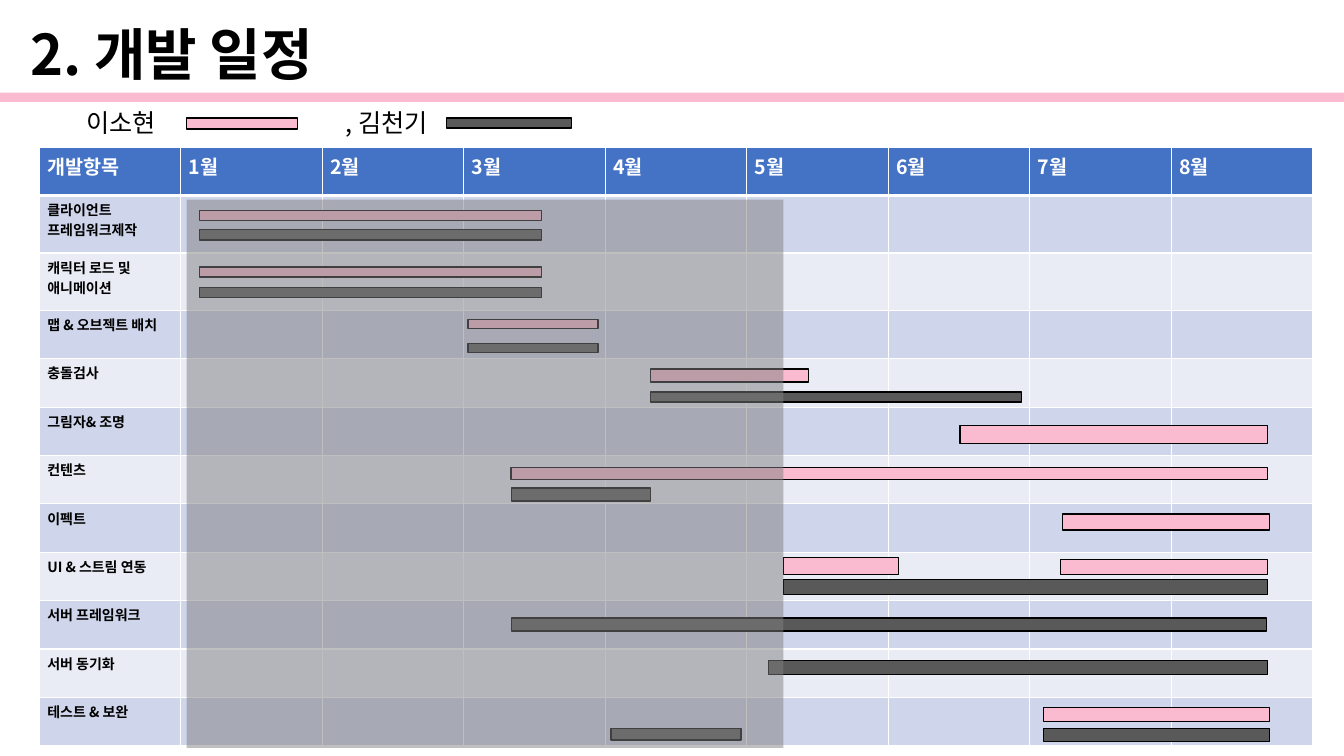
from dataclasses import dataclass

from lxml.etree import SubElement
from pptx import Presentation
from pptx.dml.color import RGBColor
from pptx.enum.shapes import MSO_SHAPE
from pptx.enum.text import MSO_ANCHOR, MSO_AUTO_SIZE, PP_ALIGN
from pptx.oxml.ns import qn
from pptx.util import Inches, Pt

FONT = "Noto Sans CJK KR"
BLACK = RGBColor(0x00, 0x00, 0x00)
WHITE = RGBColor(0xFF, 0xFF, 0xFF)
PINK = RGBColor(0xFA, 0xBA, 0xCF)
DARK = RGBColor(0x59, 0x59, 0x59)
GRAY = RGBColor(0x80, 0x80, 0x80)
HEADER = RGBColor(0x44, 0x72, 0xC4)
BANDS = (RGBColor(0xE9, 0xEB, 0xF5), RGBColor(0xCF, 0xD5, 0xEA))

MONTHS = 8
COL_W = 12.63 / (MONTHS + 1)
ROW_H, TALL_ROW_H = 0.48, 0.57


@dataclass(frozen=True)
class Bar:
    color: RGBColor
    left: float
    top: float
    width: float
    height: float


@dataclass(frozen=True)
class Task:
    lines: tuple[str, ...]
    bars: tuple[Bar, ...]


TASKS = (
    Task(("클라이언트", "프레임워크제작"), (
        Bar(PINK, 1.98, 2.09, 3.39, 0.1), Bar(DARK, 1.98, 2.28, 3.39, 0.1))),
    Task(("캐릭터 로드 및", "애니메이션"), (
        Bar(PINK, 1.98, 2.65, 3.39, 0.1), Bar(DARK, 1.98, 2.85, 3.39, 0.1))),
    Task(("맵 & 오브젝트 배치",), (
        Bar(PINK, 4.64, 3.17, 1.29, 0.09), Bar(DARK, 4.64, 3.41, 1.29, 0.09))),
    Task(("충돌검사",), (
        Bar(PINK, 6.45, 3.66, 1.57, 0.13), Bar(DARK, 6.45, 3.89, 3.68, 0.1))),
    Task(("그림자& 조명",), (Bar(PINK, 9.52, 4.22, 3.05, 0.18),)),
    Task(("컨텐츠",), (
        Bar(PINK, 5.07, 4.64, 7.5, 0.12), Bar(DARK, 5.07, 4.84, 1.38, 0.13))),
    Task(("이펙트",), (Bar(PINK, 10.54, 5.1, 2.05, 0.16),)),
    Task(("UI & 스트림 연동",), (
        Bar(DARK, 7.77, 5.75, 4.8, 0.15), Bar(PINK, 7.77, 5.53, 1.14, 0.17),
        Bar(PINK, 10.52, 5.55, 2.05, 0.15))),
    Task(("서버 프레임워크",), (Bar(DARK, 5.07, 6.13, 7.49, 0.13),)),
    Task(("서버 동기화",), (Bar(DARK, 7.62, 6.55, 4.95, 0.14),)),
    Task(("테스트 & 보완",), (
        Bar(DARK, 6.06, 7.23, 1.29, 0.11), Bar(PINK, 10.35, 7.02, 2.24, 0.14),
        Bar(DARK, 10.35, 7.23, 2.24, 0.13))),
)
LEGEND_BARS = (Bar(PINK, 1.85, 1.17, 1.1, 0.11), Bar(DARK, 4.43, 1.17, 1.24, 0.1))


def add_run(p, text: str, size: float, color: RGBColor, bold: bool) -> None:
    r = p.add_run()
    r.text = text
    r.font.name = FONT
    r.font.size = Pt(size)
    r.font.bold = bold
    r.font.color.rgb = color
    SubElement(r.font._element, qn("a:ea")).set("typeface", FONT)


def add_rect(s, bar: Bar, outlined: bool = True):
    sp = s.shapes.add_shape(MSO_SHAPE.RECTANGLE, Inches(bar.left), Inches(bar.top),
                            Inches(bar.width), Inches(bar.height))
    sp.shadow.inherit = False
    sp.fill.solid()
    sp.fill.fore_color.rgb = bar.color
    if outlined:
        sp.line.color.rgb = BLACK
        sp.line.width = Pt(1)
    else:
        sp.line.fill.background()
    return sp


def add_title(s, text: str) -> None:
    title = s.shapes.title
    title.left, title.top = Inches(0.2), Inches(0.14)
    title.width, title.height = Inches(3.32), Inches(0.77)
    tf = title.text_frame
    tf.word_wrap = False
    tf.auto_size = MSO_AUTO_SIZE.NONE
    tf.vertical_anchor = MSO_ANCHOR.TOP
    p = tf.paragraphs[0]
    p.alignment = PP_ALIGN.LEFT
    add_run(p, text, 40, BLACK, True)


def add_label(s, text: str, left: float, width: float) -> None:
    tb = s.shapes.add_textbox(Inches(left), Inches(1.02), Inches(width), Inches(0.4))
    tf = tb.text_frame
    tf.word_wrap = False
    tf.auto_size = MSO_AUTO_SIZE.SHAPE_TO_FIT_TEXT
    add_run(tf.paragraphs[0], text, 18, BLACK, False)


def style_cell(cell, fill: RGBColor, bottom: float) -> None:
    """Set insets, white borders and fill; borders must precede the fill in XML."""
    cell.margin_left = cell.margin_right = Inches(0.08)
    cell.margin_top = cell.margin_bottom = Inches(0.04)
    tc_pr = cell._tc.get_or_add_tcPr()
    for side, width in (("L", 1), ("R", 1), ("T", 1), ("B", bottom)):
        ln = SubElement(tc_pr, qn(f"a:ln{side}"), w=str(Pt(width)))
        color = SubElement(SubElement(ln, qn("a:solidFill")), qn("a:srgbClr"))
        color.set("val", str(WHITE))
    cell.fill.solid()
    cell.fill.fore_color.rgb = fill


def fill_cell(cell, lines: tuple[str, ...], size: float, color: RGBColor) -> None:
    tf = cell.text_frame
    for i, line in enumerate(lines):
        p = tf.add_paragraph() if i else tf.paragraphs[0]
        add_run(p, line, size, color, True)


def add_schedule(s) -> None:
    heights = [ROW_H] + [TALL_ROW_H if len(t.lines) > 1 else ROW_H for t in TASKS]
    table = s.shapes.add_table(len(heights), MONTHS + 1, Inches(0.39), Inches(1.46),
                               Inches(12.63), Inches(sum(heights))).table
    for col in table.columns:
        col.width = Inches(COL_W)
    for i, height in enumerate(heights):
        table.rows[i].height = Inches(height)
        for cell in table.rows[i].cells:
            style_cell(cell, BANDS[i % 2] if i else HEADER, 1 if i else 3)
    headings = ["개발항목"] + [f"{m}월" for m in range(1, MONTHS + 1)]
    for c, heading in enumerate(headings):
        fill_cell(table.cell(0, c), (heading,), 14, WHITE)
    for i, task in enumerate(TASKS, 1):
        fill_cell(table.cell(i, 0), task.lines, 10, BLACK)


def add_elapsed_shade(s) -> None:
    shade = add_rect(s, Bar(GRAY, 1.85, 1.98, 5.92, 5.44), outlined=False)
    color = shade.fill._xPr.find(qn("a:solidFill"))[0]
    SubElement(color, qn("a:alpha")).set("val", "50000")


def main() -> None:
    prs = Presentation()
    prs.slide_width, prs.slide_height = Inches(13.33), Inches(7.5)
    s = prs.slides.add_slide(prs.slide_layouts[5])
    add_rect(s, Bar(PINK, 0, 0.92, 13.33, 0.09), outlined=False)
    add_title(s, "2. 개발 일정")
    add_schedule(s)
    for task in TASKS:
        for bar in task.bars:
            add_rect(s, bar)
    for bar in LEGEND_BARS:
        add_rect(s, bar)
    add_label(s, "이소현", 0.76, 0.96)
    add_label(s, ", 김천기", 3.33, 1.1)
    add_elapsed_shade(s)
    prs.save("out.pptx")


if __name__ == "__main__":
    main()
